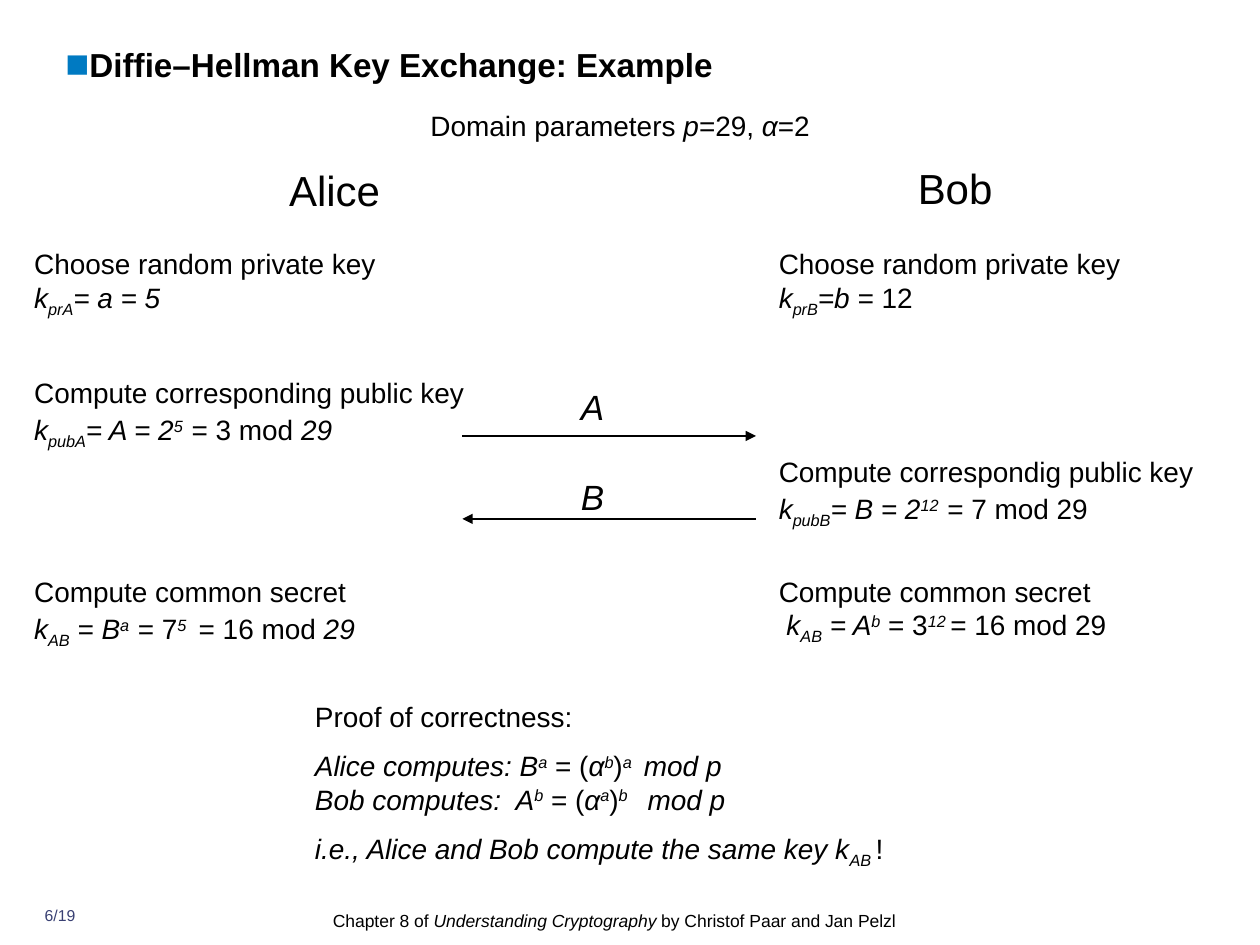
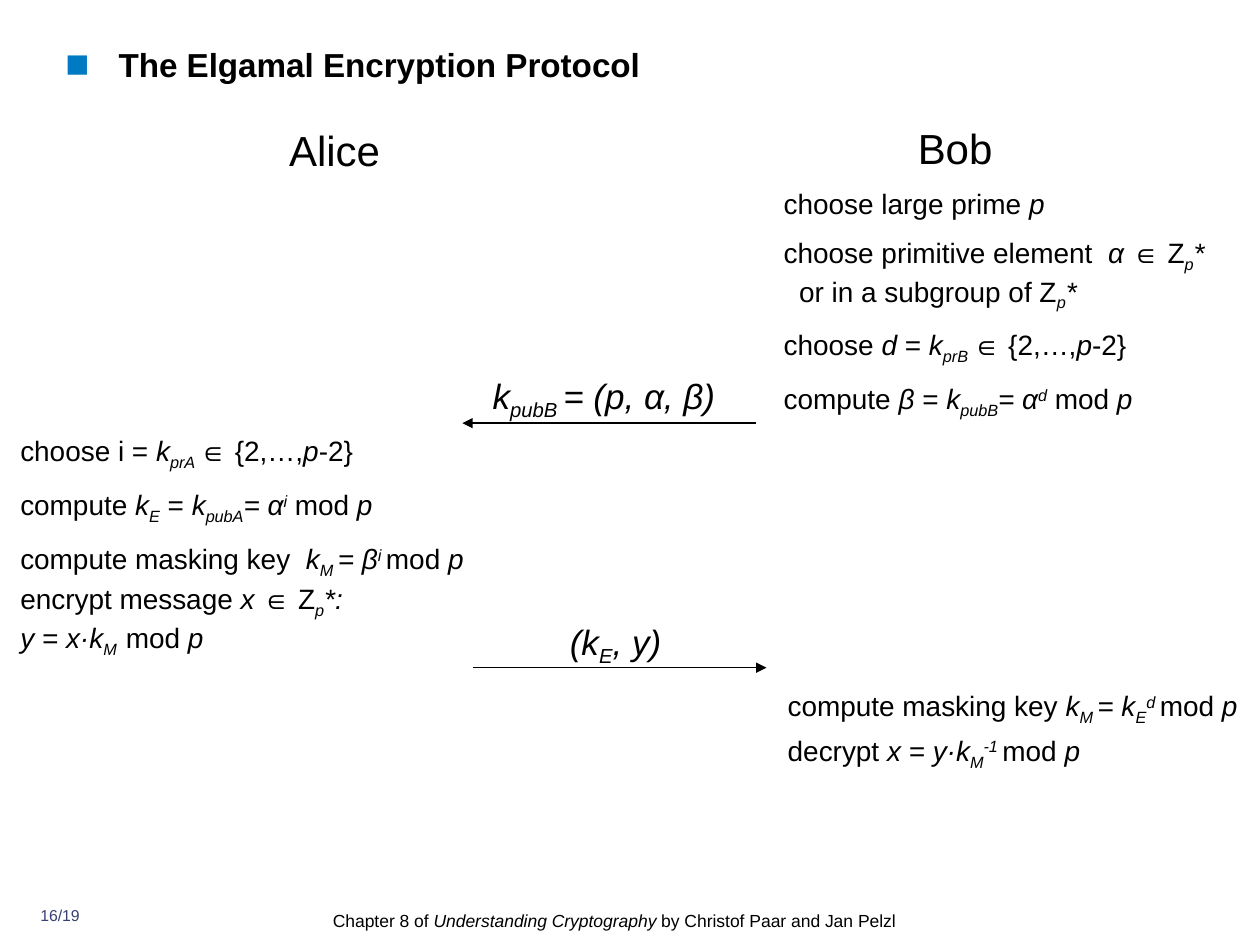
from copy import deepcopy
from dataclasses import dataclass
from typing import Optional

from lxml import etree
from pptx import Presentation
from pptx import util as u
from pptx.dml.color import RGBColor
from pptx.enum import shapes, text
from pptx.oxml import ns

BLACK = RGBColor(0x00, 0x00, 0x00)
BULLET_BLUE = "007AC2"
PAGE_BLUE = RGBColor(0x39, 0x40, 0x73)
FONT = "Arial"
BODY, MESSAGE, NAME, TITLE = 16, 20, 24, 19
LEFT, CENTER = text.PP_ALIGN.LEFT, text.PP_ALIGN.CENTER
SUBSCRIPT, SUPERSCRIPT = -25000, 30000
COLUMN_WIDTH = 9.19
ARROW_WIDTH = 5.92


@dataclass(frozen=True)
class Run:
    text: str
    italic: bool = False
    baseline: int = 0
    size: Optional[float] = None
    bold: bool = False


@dataclass(frozen=True)
class Line:
    runs: tuple
    gap: float = 9
    indent: float = 0


@dataclass(frozen=True)
class Box:
    left: float
    top: float
    width: float
    height: float
    lines: tuple
    size: float = BODY
    align: text.PP_ALIGN = LEFT
    spacing: Optional[float] = None
    color: RGBColor = BLACK


@dataclass(frozen=True)
class Arrow:
    start: float
    end: float
    top: float


BREAK = Run("\n")
WIDE_SPACE = Run(" ", size=18)


def plain(words: str) -> Run:
    return Run(words)


def math(words: str) -> Run:
    return Run(words, italic=True)


def sub(words: str) -> Run:
    return Run(words, italic=True, baseline=SUBSCRIPT)


def sup(words: str) -> Run:
    return Run(words, italic=True, baseline=SUPERSCRIPT)


def line(*runs: Run, gap: float = 9, indent: float = 0) -> Line:
    return Line(runs, gap, indent)


def step(left: float, top: float, *lines: Line, height: float = 1.4) -> Box:
    return Box(left, top, COLUMN_WIDTH, height, lines)


def message(left: float, top: float, width: float, *runs: Run, align=LEFT) -> Box:
    return Box(left, top, width, 0.86, (line(*runs),), MESSAGE, align)


def add_run(paragraph, run: Run, box: Box) -> None:
    if run is BREAK:
        previous = paragraph.runs[-1]._r
        paragraph.add_line_break()
        paragraph._p[-1].append(deepcopy(previous.rPr))
        return
    piece = paragraph.add_run()
    piece.text = run.text
    font = piece.font
    font.name = FONT
    font.size = u.Pt(run.size or box.size)
    font.color.rgb = box.color
    font.italic = run.italic
    font.bold = run.bold
    if run.baseline:
        piece._r.get_or_add_rPr().set("baseline", str(run.baseline))


def add_box(slide, box: Box):
    shape = slide.shapes.add_textbox(
        u.Cm(box.left), u.Cm(box.top), u.Cm(box.width), u.Cm(box.height))
    frame = shape.text_frame
    frame.word_wrap = True
    frame.margin_left = frame.margin_right = frame.margin_top = frame.margin_bottom = 0
    for number, content in enumerate(box.lines):
        paragraph = frame.add_paragraph() if number else frame.paragraphs[0]
        paragraph.alignment = box.align
        if box.spacing:
            paragraph.line_spacing = box.spacing
        if number:
            paragraph.space_before = u.Pt(content.gap)
        if content.indent:
            paragraph._p.get_or_add_pPr().set("marL", str(u.Cm(content.indent)))
        for run in content.runs:
            add_run(paragraph, run, box)
    return shape


def add_title(slide, title: str, hanging: float) -> None:
    shape = add_box(slide, Box(1.32, 0.89, 22.91, 1.68, (line(Run(title, bold=True)),), TITLE))
    properties = shape.text_frame.paragraphs[0]._p.get_or_add_pPr()
    properties.set("marL", str(u.Cm(hanging)))
    properties.set("indent", str(-u.Cm(hanging)))
    color = etree.SubElement(properties, ns.qn("a:buClr"))
    etree.SubElement(color, ns.qn("a:srgbClr"), val=BULLET_BLUE)
    etree.SubElement(properties, ns.qn("a:buSzPct"), val="120000")
    etree.SubElement(properties, ns.qn("a:buFont"), typeface=FONT)
    etree.SubElement(properties, ns.qn("a:buChar"), char="■")


def add_names(slide, top: float) -> None:
    add_box(slide, Box(0.79, top, 11.91, 0.91, (line(plain("Alice")),), NAME, CENTER, 0.9))
    add_box(slide, Box(13.11, top - 0.04, 12.29, 0.91, (line(plain("Bob")),), NAME, CENTER, 0.9))


def add_footer(slide, page: str) -> None:
    add_box(slide, Box(0.51, 18.26, 1.4, 0.61, (line(plain(page)),), 9, CENTER, color=PAGE_BLUE))
    credit = line(plain("Chapter 8 of "), math("Understanding Cryptography"),
                  plain(" by Christof Paar and Jan Pelzl"))
    add_box(slide, Box(6.71, 18.26, 12.01, 0.71, (credit,), 10, spacing=1.2))


def add_arrow(slide, arrow: Arrow) -> None:
    connector = slide.shapes.add_connector(
        shapes.MSO_CONNECTOR.STRAIGHT,
        u.Cm(arrow.start), u.Cm(arrow.top), u.Cm(arrow.end), u.Cm(arrow.top))
    connector.line.color.rgb = BLACK
    connector.line.width = u.Pt(0.75)
    etree.SubElement(connector.line._get_or_add_ln(), ns.qn("a:tailEnd"), type="triangle")
    etree.SubElement(connector._element.spPr, ns.qn("a:effectLst"))


def add_protocol(presentation, title: str, hanging: float, names_top: float,
                 page: str, boxes: list, arrows: list) -> None:
    slide = presentation.slides.add_slide(presentation.slide_layouts[6])
    add_title(slide, title, hanging)
    add_names(slide, names_top)
    for box in boxes:
        add_box(slide, box)
    for arrow in arrows:
        add_arrow(slide, arrow)
    add_footer(slide, page)


def key_exchange_boxes() -> list:
    alice, bob = 0.69, 15.7
    choose = plain("Choose random private key")
    secret = plain("Compute common secret")
    return [
        Box(0.79, 2.18, 23.42, 0.69, (line(
            plain("Domain parameters "), math("p"), plain("=29, "), math("α"), plain("=2")),),
            align=CENTER),
        step(alice, 4.98, line(choose, BREAK, math("k"), sub("prA"), math("= a = 5"))),
        step(bob, 4.98, line(choose, BREAK, math("k"), sub("prB"), math("=b ="), plain(" 12"))),
        step(alice, 7.57, line(
            plain("Compute corresponding public key"), BREAK, math("k"), sub("pubA"),
            math("= A = 2"), sup("5"), WIDE_SPACE, plain("= 3 mod "), math("29"))),
        step(bob, 9.17, line(
            plain("Compute correspondig public key"), BREAK, math("k"), sub("pubB"),
            math("= B = 2"), sup("12"), WIDE_SPACE, plain("= 7 mod 29"))),
        step(alice, 11.58, line(
            secret, BREAK, math("k"), sub("AB"), math(" = B"), sup("a"), WIDE_SPACE,
            plain("= 7"), sup("5 "), plain(" = 16 mod "), math("29"))),
        step(bob, 11.58, line(
            secret, BREAK, math(" k"), sub("AB"), math(" = A"), sup("b"),
            plain(" = 3"), sup("12 "), plain("= 16 mod 29"))),
        message(11.71, 7.77, 1, math("A")),
        message(11.71, 9.58, 1, math("B")),
        Box(6.35, 14.1, 12.12, 3.6, (
            line(plain("Proof of correctness:")),
            line(math("Alice computes: B"), sup("a"), plain(" = ("), math("α"), sup("b"),
                 plain(")"), sup("a "), math(" mod p"), BREAK,
                 math("Bob computes:  A"), sup("b"), plain(" = ("), math("α"), sup("a"),
                 plain(")"), sup("b "), math("  mod p")),
            line(math("i.e., Alice and Bob compute the same key k"), sub("AB "), plain("!")))),
    ]


def elgamal_boxes() -> list:
    alice, bob, bob_reply = 0.41, 15.8, 15.88
    modulus = (plain("mod "), math("p"))
    spaced_modulus = (plain(" mod "), math("p"))
    private_range = (plain("∈ {2,…,"), math("p"), plain("-2}"))
    return [
        step(bob, 3.76,
             line(plain("choose large prime "), math("p")),
             line(plain("choose primitive element  "), math("α "), plain("∈ Z"),
                  sub("p"), math("*")),
             line(plain("or in a subgroup of Z"), sub("p"), math("*"), gap=0, indent=0.31),
             line(plain("choose "), math("d"), plain(" = "), math("k"), sub("prB "),
                  *private_range),
             line(plain("compute "), math("β"), plain(" = "), math("k"), sub("pubB"),
                  math("= α"), sup("d"), *spaced_modulus),
             height=4.45),
        step(alice, 8.74,
             line(plain("choose i = "), math("k"), sub("prA "), *private_range),
             line(plain("compute "), math("k"), sub("E"), plain(" = "), math("k"),
                  sub("pubA"), math("= α"), sup("i"), *spaced_modulus),
             line(plain("compute masking key  "), math("k"), sub("M "), math("= β"),
                  sup("i "), *modulus),
             height=2.74),
        step(alice, 11.73, line(
            plain("encrypt message "), math("x "), plain("∈ Z"), sub("p"), math("*:"), BREAK,
            math("y = x·k"), sub("M  "), *modulus)),
        Box(bob_reply, 13.89, 9.73, 0.69, (line(
            plain("compute masking key "), math("k"), sub("M "), math("= k"), sub("E"),
            sup("d "), *modulus),)),
        step(bob_reply, 14.78, line(
            plain("decrypt "), math("x = y·k"), sub("M"), sup("-1 "), *modulus), height=0.69),
        message(9.93, 7.54, 5.56, math("k"), sub("pubB "), math("= (p, α, β)")),
        message(10.72, 12.5, 3.38, math("(k"), sub("E"), math(", y)"), align=CENTER),
    ]


def main() -> None:
    presentation = Presentation()
    presentation.slide_width = u.Cm(25.4)
    presentation.slide_height = u.Cm(19.05)
    alice_side, bob_side = 9.32, 9.32 + ARROW_WIDTH
    add_protocol(
        presentation, "Diffie–Hellman Key Exchange: Example", 0, 3.43, "6/19",
        key_exchange_boxes(),
        [Arrow(alice_side, bob_side, 8.79), Arrow(bob_side, alice_side, 10.46)])
    add_protocol(
        presentation, "The Elgamal Encryption Protocol", 1.07, 2.62, "16/19",
        elgamal_boxes(),
        [Arrow(bob_side, alice_side, 8.53), Arrow(9.53, 9.53 + ARROW_WIDTH, 13.46)])
    presentation.save("out.pptx")


if __name__ == "__main__":
    main()
